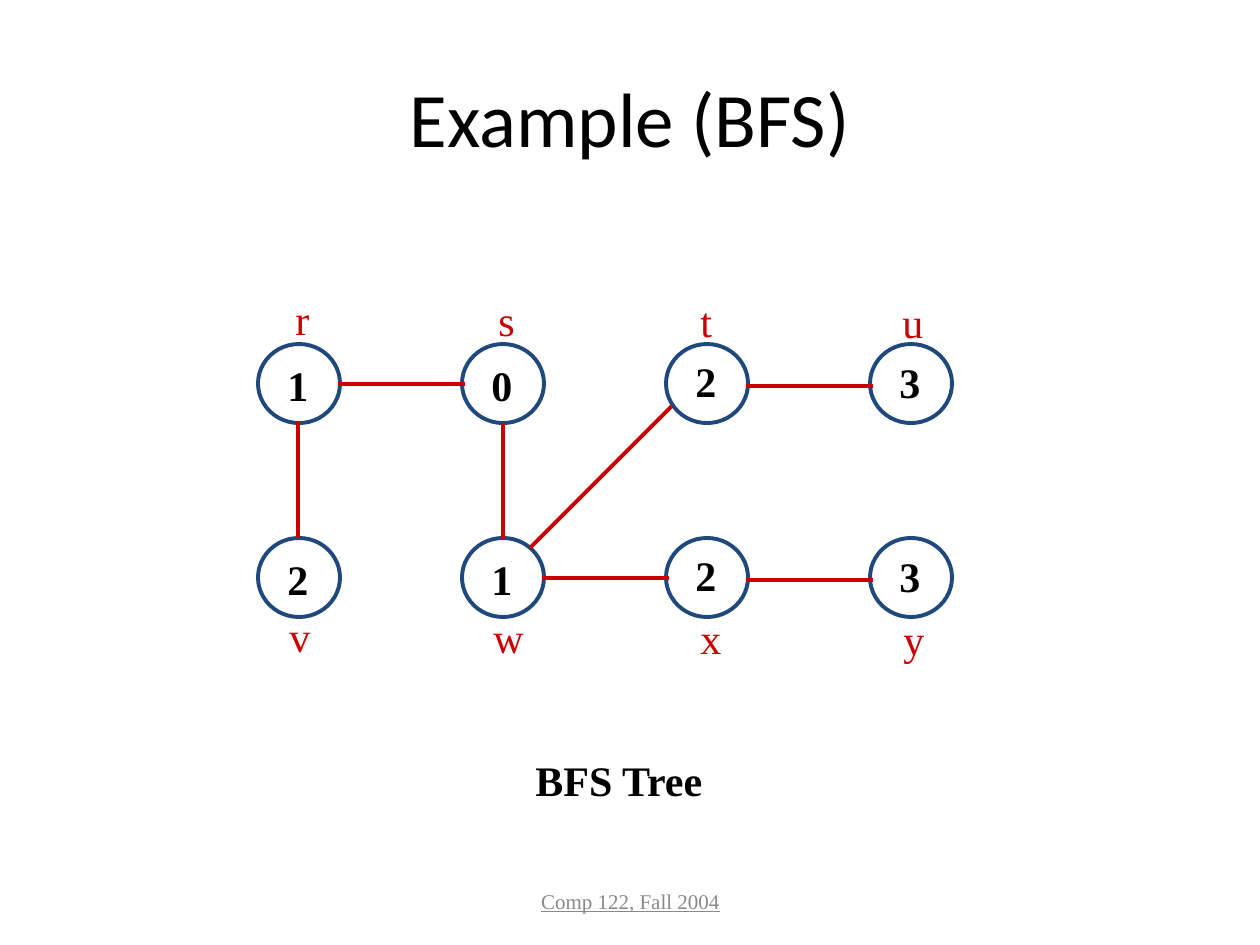
from pptx import Presentation
from pptx.dml.color import RGBColor
from pptx.enum.shapes import MSO_CONNECTOR as Link, MSO_SHAPE as Form
from pptx.enum.text import MSO_ANCHOR as Anchor, MSO_AUTO_SIZE as Fit, PP_ALIGN as Align
from pptx.oxml.ns import qn
from pptx.util import Emu, Pt

SCALE = 914400 / 126
SERIF = "Times New Roman"
BLACK, RED, NAVY, GREY = "000000", "CC0000", "1F497D", "898989"
LEFT, STEP = 258, 204
NODE_W, NODE_H = 82, 79
DROPS = (9, 9, 5, 6)
ROWS = (
    (344, 287, (("r", "1", 283, 39), ("s", "0", 486, 42), ("t", "2", 688, 37), ("u", "3", 890, 45))),
    (538, 604, (("v", "2", 277, 45), ("w", "1", 481, 55), ("x", "2", 688, 45), ("y", "3", 891, 45))),
)
EDGES = (
    (338, 384, 465, 384),
    (746, 386, 873, 386),
    (542, 578, 669, 578),
    (746, 580, 873, 580),
    (298, 422, 298, 538),
    (503, 423, 503, 539),
    (530, 548, 672, 406),
)


def px(*nums):
    """Turn pixel lengths into EMU."""
    return [Emu(round(num * SCALE)) for num in nums]


def tint(code):
    """Make a colour from a hex string."""
    return RGBColor.from_string(code)


def add_text(slide, area, text, size=24, color=BLACK, face=SERIF, bold=False, line=False, block=False):
    """Add one line of text, centred in its area when block is set."""
    frame = slide.shapes.add_textbox(*px(*area)).text_frame
    frame.word_wrap = block
    frame.auto_size = Fit.NONE if block else Fit.SHAPE_TO_FIT_TEXT
    frame.vertical_anchor = Anchor.MIDDLE if block else Anchor.TOP
    para = frame.paragraphs[0]
    para.alignment = Align.CENTER if block else Align.LEFT
    run = para.add_run()
    run.text = text
    font = run.font
    font.name, font.size, font.bold, font.underline = face, Pt(size), bold, line
    font.color.rgb = tint(color)


def add_node(slide, left, top, drop, value):
    """Add a ring with its distance inside."""
    ring = slide.shapes.add_shape(Form.OVAL, *px(left, top, NODE_W, NODE_H))
    ring.shadow.inherit = False
    ring.fill.background()
    ring.line.color.rgb = tint(NAVY)
    ring.line.width = Pt(2.25)
    add_text(slide, (left + 17, top + drop, 45, 63), value, bold=True)


def add_edge(slide, ends):
    """Add a tree edge between two points."""
    edge = slide.shapes.add_connector(Link.STRAIGHT, *px(*ends))
    edge.line.color.rgb = tint(RED)
    edge.line.width = Pt(2.25)
    props = edge.line._get_or_add_ln().getparent()
    props.append(props.makeelement(qn("a:effectLst"), {}))


def main():
    """Build the slide and save it."""
    deck = Presentation()
    deck.slide_width, deck.slide_height = px(1260, 945)
    slide = deck.slides.add_slide(deck.slide_layouts[6])
    add_text(slide, (63, 38, 1134, 158), "Example (BFS)", 44, face="Calibri", block=True)
    add_text(slide, (431, 876, 399, 50), "Comp 122, Fall 2004", 12, GREY, line=True, block=True)
    for top, head, nodes in ROWS:
        for col, (name, value, left, width) in enumerate(nodes):
            add_node(slide, LEFT + STEP * col, top, DROPS[col], value)
            add_text(slide, (left, head + col, width, 63), name, color=RED)
    for ends in EDGES:
        add_edge(slide, ends)
    add_text(slide, (523, 748, 197, 63), "BFS Tree", bold=True)
    deck.save("out.pptx")


if __name__ == "__main__":
    main()
